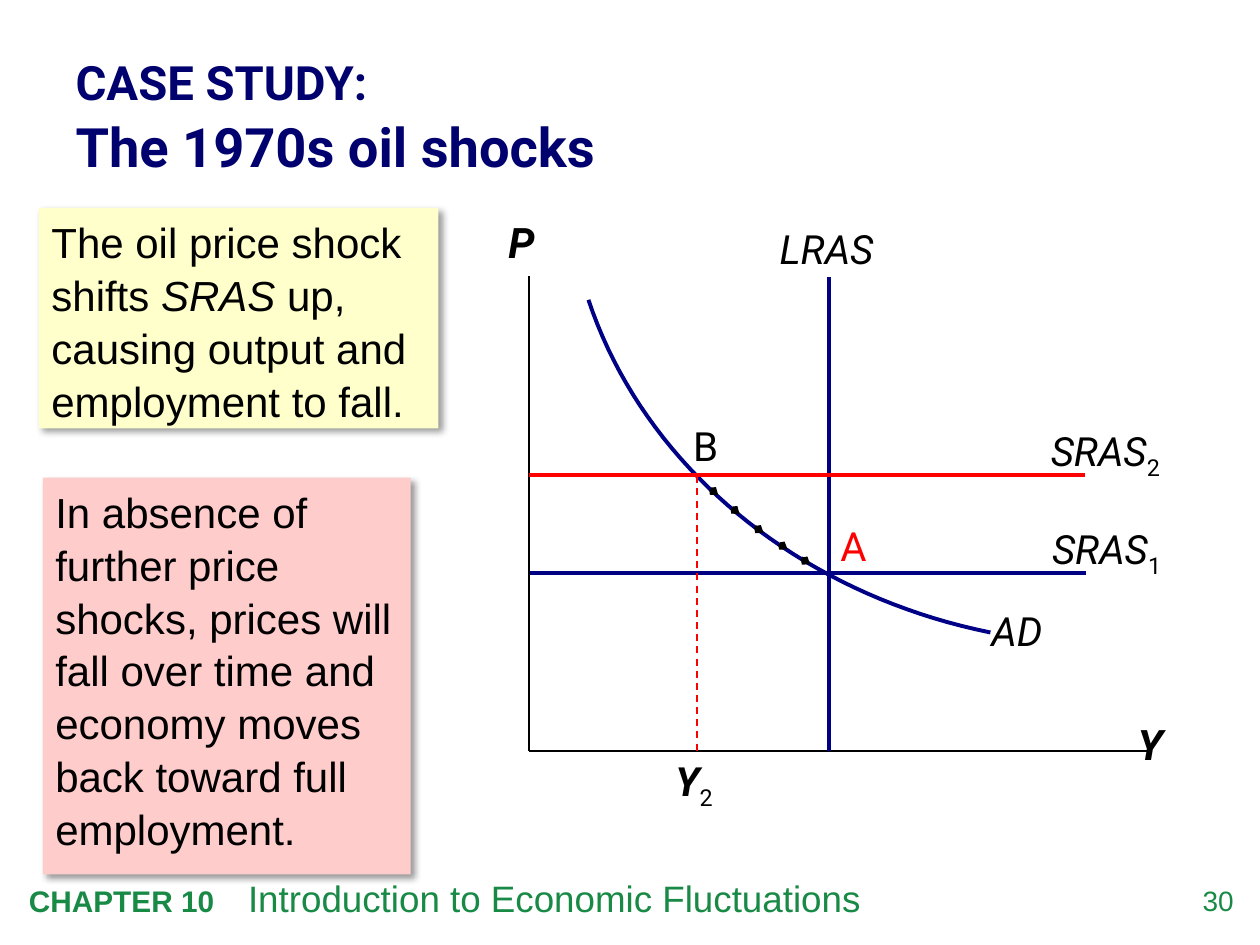
from dataclasses import dataclass

from lxml.etree import SubElement
from pptx import Presentation
from pptx.dml.color import RGBColor
from pptx.enum.dml import MSO_LINE
from pptx.enum.shapes import MSO_CONNECTOR, MSO_SHAPE
from pptx.enum.text import MSO_ANCHOR, PP_ALIGN
from pptx.oxml.ns import qn
from pptx.util import Inches, Pt

COLUMNS, ROWS = 100, 75
BLACK, RED, NAVY, GREEN = "000000", "FF0000", "000082", "198A46"
CURVE, TITLE, YELLOW, PINK = "000086", "00006E", "FFFFCC", "FFCCCC"
NORMAL = (1, 0.5, 1, 0.5)
FLUSH = (0, 0, 0, 0)
LABEL_SIZE, BODY_SIZE = 23, 24
AXIS_X, AXIS_Y = 42, 59.6

deck = Presentation()
deck.slide_width, deck.slide_height = Inches(10), Inches(7.5)
page = deck.slides.add_slide(deck.slide_layouts[6])


@dataclass
class Span:
    text: str
    size: float = LABEL_SIZE
    font: str = "Roboto"
    color: str = BLACK
    bold: bool = False
    italic: bool = False
    subscript: bool = False


@dataclass
class Label:
    area: tuple
    spans: list
    insets: tuple = NORMAL
    align: PP_ALIGN = PP_ALIGN.LEFT


@dataclass
class Stroke:
    start: tuple
    end: tuple
    color: str
    width: float = 2.25
    dashed: bool = False
    arrow: bool = False


def col(value: float) -> int:
    return round(deck.slide_width * value / COLUMNS)


def row(value: float) -> int:
    return round(deck.slide_height * value / ROWS)


def rgb(color: str) -> RGBColor:
    return RGBColor.from_string(color)


def place(area: tuple) -> tuple:
    left, top, width, height = area
    return col(left), row(top), col(width), row(height)


def write(box, spans: list, insets=NORMAL, align=PP_ALIGN.LEFT,
          anchor=MSO_ANCHOR.TOP, spacing=None, tab=None) -> None:
    frame = box.text_frame
    frame.word_wrap = True
    frame.vertical_anchor = anchor
    left, top, right, bottom = insets
    frame.margin_left, frame.margin_right = col(left), col(right)
    frame.margin_top, frame.margin_bottom = row(top), row(bottom)
    para = frame.paragraphs[0]
    if tab is not None:
        stops = SubElement(para._p.get_or_add_pPr(), qn("a:tabLst"))
        SubElement(stops, qn("a:tab"), pos=str(col(tab)), algn="l")
    para.alignment = align
    if spacing:
        para.line_spacing = spacing
    for item in spans:
        for number, line in enumerate(item.text.split("\n")):
            if number:
                para.add_line_break()
            if not line:
                continue
            span = para.add_run()
            span.text = line
            font = span.font
            font.name, font.size = item.font, Pt(item.size)
            font.bold, font.italic = item.bold, item.italic
            font.color.rgb = rgb(item.color)
            if item.subscript:
                span._r.get_or_add_rPr().set("baseline", "-25000")


def add_text(area: tuple, spans: list, **layout) -> None:
    write(page.shapes.add_textbox(*place(area)), spans, **layout)


def add_panel(area: tuple, fill: str, spans: list) -> None:
    panel = page.shapes.add_shape(MSO_SHAPE.RECTANGLE, *place(area))
    panel.fill.solid()
    panel.fill.fore_color.rgb = rgb(fill)
    panel.line.fill.background()
    panel.shadow.inherit = False
    effects = panel._element.spPr.find(qn("a:effectLst"))
    shadow = SubElement(effects, qn("a:outerShdw"), blurRad=str(Pt(4)),
                        dist=str(Pt(3)), dir="2700000", algn="tl", rotWithShape="0")
    shade = SubElement(shadow, qn("a:srgbClr"), val=BLACK)
    SubElement(shade, qn("a:alpha"), val="40000")
    write(panel, spans, spacing=1.05)


def add_stroke(stroke: Stroke) -> None:
    (x1, y1), (x2, y2) = stroke.start, stroke.end
    line = page.shapes.add_connector(MSO_CONNECTOR.STRAIGHT, col(x1), row(y1), col(x2), row(y2))
    line.line.color.rgb = rgb(stroke.color)
    line.line.width = Pt(stroke.width)
    if stroke.dashed:
        line.line.dash_style = MSO_LINE.DASH
    if stroke.arrow:
        SubElement(line.line._get_or_add_ln(), qn("a:tailEnd"), type="arrow", w="sm", len="sm")
    SubElement(line._element.spPr, qn("a:effectLst"))


def add_curve(controls: list, color: str, steps: int = 40) -> None:
    def point(t: float) -> tuple:
        weights = ((1 - t) ** 3, 3 * t * (1 - t) ** 2, 3 * t * t * (1 - t), t ** 3)
        x, y = (sum(w * c[axis] for w, c in zip(weights, controls)) for axis in (0, 1))
        return col(x), row(y)

    points = [point(step / steps) for step in range(steps + 1)]
    builder = page.shapes.build_freeform(*points[0])
    builder.add_line_segments(points[1:], close=False)
    curve = builder.convert_to_shape()
    curve.fill.background()
    curve.line.color.rgb = rgb(color)
    curve.line.width = Pt(2.25)
    curve.shadow.inherit = False


def symbol(name: str, index: str = "", bold: bool = False, size: float = LABEL_SIZE) -> list:
    spans = [Span(name, size, bold=bold, italic=True)]
    return spans + [Span(index, size, subscript=True)] if index else spans


def body(text: str, italic: bool = False) -> Span:
    return Span(text, BODY_SIZE, "Arial", italic=italic)


add_text((92.4, 70.1, 5.5, 3.2), [Span("30", 16, "Arial", GREEN)],
         insets=FLUSH, align=PP_ALIGN.RIGHT)
add_text((1.3, 69, 81.8, 4.5),
         [Span("CHAPTER 10\t", 17, "Arial", GREEN, bold=True),
          Span("Introduction to Economic Fluctuations", 21, "Arial", GREEN)], tab=17.4)
add_text((6, 2.5, 89.3, 13.1),
         [Span("CASE STUDY:\n", 27, color=TITLE, bold=True),
          Span("The 1970s oil shocks", 31, color=TITLE, bold=True)],
         insets=FLUSH, anchor=MSO_ANCHOR.MIDDLE, spacing=1.05)

add_curve([(78.6, 50.2), (63.3, 47.1), (51.1, 37), (46.7, 23.8)], CURVE)

strokes = [
    Stroke((AXIS_X, 45.5), (86.2, 45.5), NAVY),
    Stroke((AXIS_X, 21.9), (AXIS_X, AXIS_Y), BLACK, 1),
    Stroke((AXIS_X, AXIS_Y), (91.1, AXIS_Y), BLACK, 1),
    Stroke((65.8, AXIS_Y), (65.8, 22), NAVY),
    Stroke((55.3, 37.8), (55.3, AXIS_Y), RED, 1, dashed=True),
    Stroke((AXIS_X, 37.7), (86.1, 37.7), RED),
]
arrows = [
    ((56.5, 38.9), (57, 39.3)),
    ((58.2, 40.4), (58.7, 40.8)),
    ((59.9, 41.8), (60.6, 42.3)),
    ((61.9, 43.2), (62.5, 43.6)),
    ((63.6, 44.3), (64.3, 44.8)),
]
strokes += [Stroke(start, end, BLACK, arrow=True) for start, end in arrows]
for stroke in strokes:
    add_stroke(stroke)

labels = [
    Label((83.5, 41.6, 10, 4.3), symbol("SRAS", "1"), FLUSH),
    Label((83.4, 33.8, 10, 4.3), symbol("SRAS", "2"), FLUSH),
    Label((87.1, 56.5, 8.4, 5), symbol("Y", bold=True, size=24), align=PP_ALIGN.CENTER),
    Label((38.4, 16.7, 6, 5), symbol("P", bold=True, size=24), align=PP_ALIGN.CENTER),
    Label((77.7, 47.6, 7.5, 4.8), symbol("AD")),
    Label((60.9, 17.3, 11.7, 4.8), symbol("LRAS")),
    Label((53.6, 60, 4.2, 4.9), symbol("Y", "2", bold=True), FLUSH),
    Label((66.7, 41.4, 2.5, 3.8), [Span("A", color=RED)], FLUSH),
    Label((55, 33.4, 2.5, 3.8), [Span("B")], FLUSH),
]
for label in labels:
    add_text(label.area, label.spans, insets=label.insets, align=label.align)

add_panel((3.1, 16.5, 31.7, 17.5), YELLOW,
          [body("The oil price shock shifts "), body("SRAS", italic=True),
           body(" up, causing output and employment to fall.")])
add_panel((3.4, 37.9, 29.2, 31.5), PINK,
          [body("In absence of\nfurther price shocks, prices will fall over time "
                "and economy moves back toward full employment.")])

deck.save("out.pptx")
